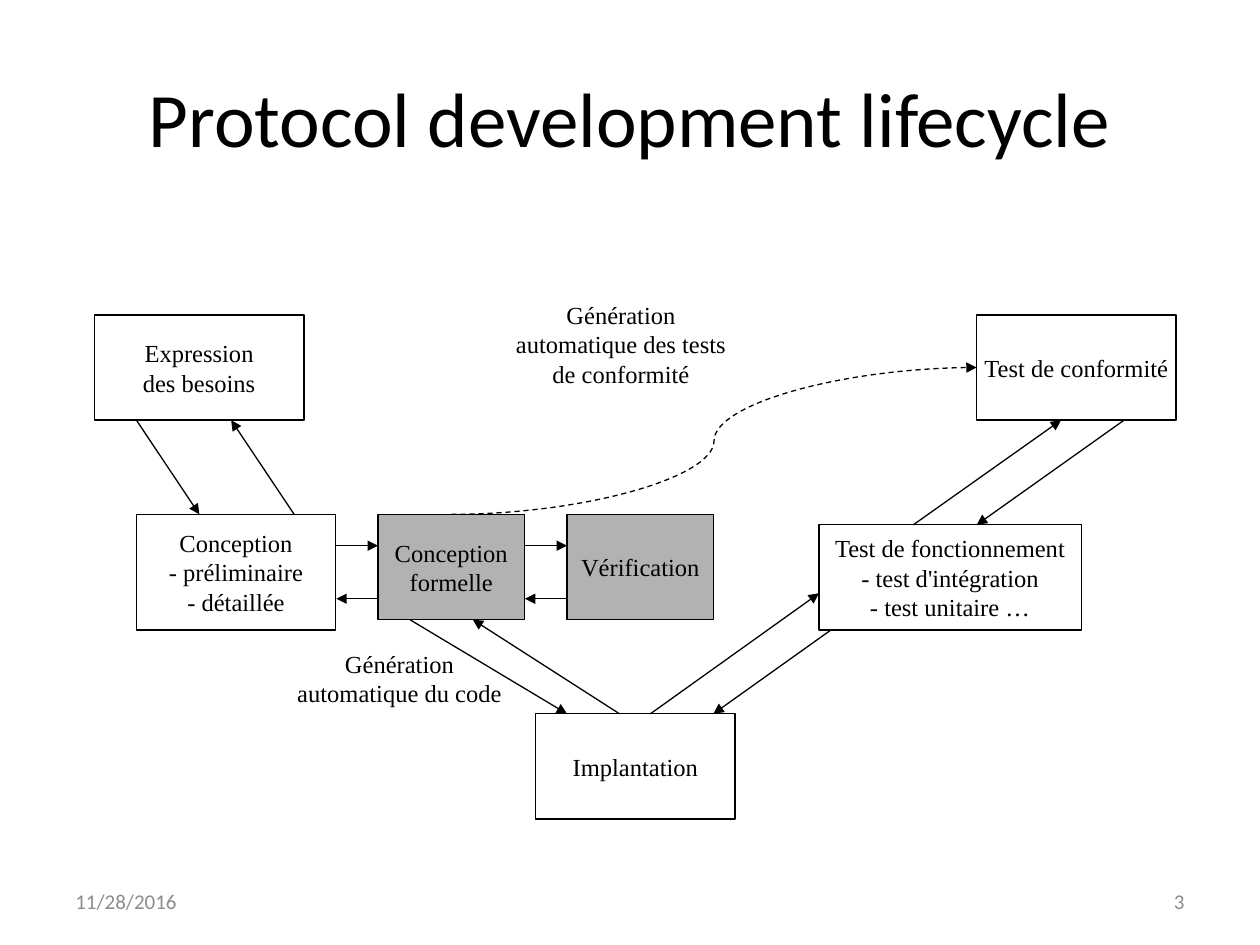
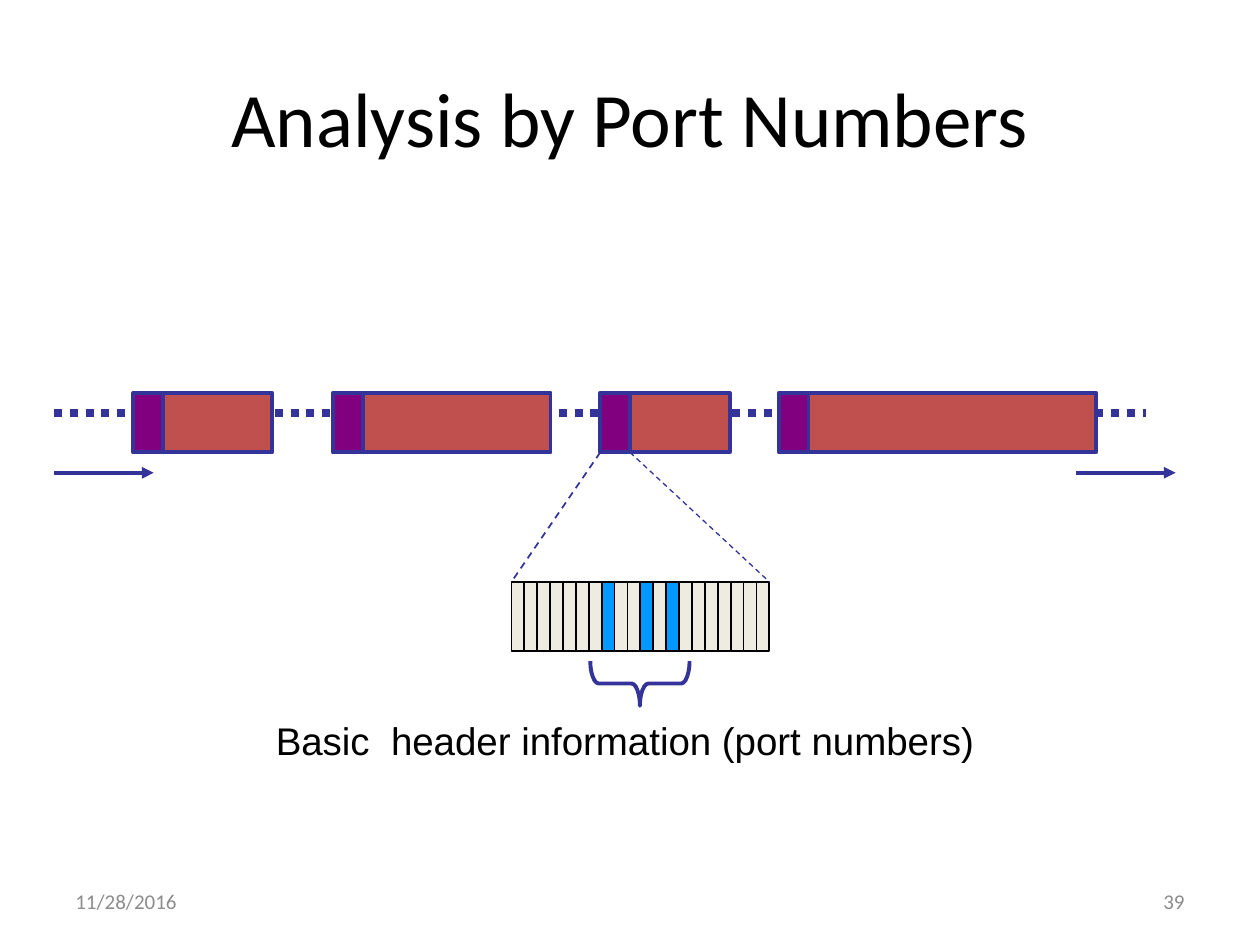
"""Build two slides: the protocol development lifecycle and port number analysis."""
from pptx import Presentation
from pptx.dml.color import RGBColor
from pptx.enum import dml, shapes, text
from pptx.oxml.ns import qn
from pptx.util import Cm, Pt

BLACK = RGBColor(0x00, 0x00, 0x00)
WHITE = RGBColor(0xFF, 0xFF, 0xFF)
GRAY = RGBColor(0x8C, 0x8C, 0x8C)
SILVER = RGBColor(0xB2, 0xB2, 0xB2)
NAVY = RGBColor(0x33, 0x33, 0x99)
PURPLE = RGBColor(0x80, 0x00, 0x80)
BRICK = RGBColor(0xC0, 0x50, 0x4D)
CREAM = RGBColor(0xEE, 0xEC, 0xE1)
AZURE = RGBColor(0x00, 0x99, 0xFF)

LEFT, CENTER, RIGHT = text.PP_ALIGN.LEFT, text.PP_ALIGN.CENTER, text.PP_ALIGN.RIGHT
TOP, MIDDLE = text.MSO_ANCHOR.TOP, text.MSO_ANCHOR.MIDDLE
DASH, DOT = dml.MSO_LINE.DASH, dml.MSO_LINE.ROUND_DOT
STRAIGHT, CURVE = shapes.MSO_CONNECTOR.STRAIGHT, shapes.MSO_CONNECTOR.CURVE
RECT, BRACE = shapes.MSO_SHAPE.RECTANGLE, shapes.MSO_SHAPE.RIGHT_BRACE

TITLE_FONT = {"name": "Calibri", "size": Pt(44)}
FOOTER_FONT = {"name": "Calibri", "size": Pt(12)}
DIAGRAM_FONT = {"name": "Times New Roman", "size": Pt(14)}
CAPTION_FONT = {"name": "Arial", "size": Pt(22)}

DATE = "11/28/2016"
TITLE_AT = (1.27, 0.76, 22.86, 3.18)
DATE_AT = (1.27, 17.65, 5.93, 1.02)
NUMBER_AT = (18.2, 17.65, 5.93, 1.02)

STAGES = [
    (["Vérification"], (11.43, 10.37, 2.96, 2.12), SILVER),
    (["Conception", "formelle"], (7.62, 10.37, 2.96, 2.12), SILVER),
    (["Expression", "des besoins"], (1.9, 6.35, 4.23, 2.12), WHITE),
    (["Implantation"], (10.8, 14.39, 4.02, 2.12), WHITE),
    (["Test de conformité"], (19.69, 6.35, 4.02, 2.12), WHITE),
    (["Conception", "- préliminaire", "- détaillée"], (2.75, 10.37, 4.02, 2.33), WHITE),
    (["Test de fonctionnement", "- test d'intégration", "- test unitaire …"],
     (16.51, 10.58, 5.29, 2.12), WHITE),
]
STAGE_ARROWS = [
    (6.78, 11, 7.62, 11), (7.62, 12.07, 6.78, 12.07),
    (10.58, 11, 11.43, 11), (11.43, 12.07, 10.58, 12.07),
    (2.75, 8.47, 4.02, 10.37), (5.93, 10.37, 4.66, 8.47),
    (8.26, 12.49, 11.43, 14.39), (12.49, 14.39, 9.53, 12.49),
    (13.11, 14.39, 16.51, 11.96), (16.75, 12.7, 14.38, 14.39),
    (18.41, 10.58, 21.39, 8.47), (22.66, 8.47, 19.69, 10.58),
]
TEST_GENERATION = (9.1, 10.37, 19.69, 7.41)
STAGE_LABELS = [
    (["Génération", "automatique du code"], (5.72, 12.95, 4.67, 1.45)),
    (["Génération", "automatique des tests", "de conformité"], (10.13, 5.92, 4.78, 2.03)),
]

PACKETS = [(2.69, 2.2), (6.71, 3.79), (12.1, 2.01), (15.7, 5.8)]
PACKET_TOP, PACKET_HEIGHT, HEADER_WIDTH = 7.92, 1.2, 0.6
ZOOMED_PACKET = 2
STREAM = (1.09, 8.33, 23.11, 8.33)
FLOW_STARTS, FLOW_Y, FLOW_LENGTH = (1.09, 21.69), 9.53, 2.01
FIELDS, PORT_FIELDS = 20, (7, 10, 12)
FIELD_LEFT, FIELD_TOP, FIELD_WIDTH, FIELD_HEIGHT = 10.31, 11.73, 0.26, 1.4
BRACE_AT = (12.45, 12.78, 0.9, 2)
CAPTION = "Basic  header information (port numbers)"
CAPTION_AT = (5.31, 14.33, 15.19, 1.19)


def apply(obj, values):
    """Set each attribute named in a dict of format values."""
    for name, value in values.items():
        setattr(obj, name, value)


def write(sp, lines, font, color=BLACK, align=CENTER, anchor=MIDDLE, wrap=True):
    """Fill a shape with formatted paragraphs."""
    tf = sp.text_frame
    tf.text = "\n".join(lines)
    apply(tf, {"word_wrap": wrap, "vertical_anchor": anchor})
    for p in tf.paragraphs:
        p.alignment = align
        apply(p.runs[0].font, font)
        p.runs[0].font.color.rgb = color


def add_text(s, at, lines, font, **options):
    """Add a text box and return it."""
    sp = s.shapes.add_textbox(*map(Cm, at))
    write(sp, lines, font, **options)
    return sp


def add_block(parent, at, fill, line, width, kind=RECT):
    """Add an outlined preset shape, filled when a colour is given."""
    sp = parent.shapes.add_shape(kind, *map(Cm, at))
    sp.shadow.inherit = False
    if fill is None:
        sp.fill.background()
    else:
        sp.fill.solid()
        sp.fill.fore_color.rgb = fill
    sp.line.color.rgb = line
    sp.line.width = Pt(width)
    return sp


def add_line(parent, ends, color, width, dash=None, arrow=False, kind=STRAIGHT):
    """Add a connector, dashed or with an arrowhead on request."""
    cx = parent.shapes.add_connector(kind, *map(Cm, ends))
    cx.line.color.rgb = color
    apply(cx.line, {"width": Pt(width), "dash_style": dash})
    props = cx.element.spPr
    if arrow:
        ln = props.find(qn("a:ln"))
        ln.append(ln.makeelement(qn("a:tailEnd"), {"type": "triangle"}))
    props.append(props.makeelement(qn("a:effectLst"), {}))


def add_slide(prs, title, number):
    """Add a slide with its title, date and number."""
    s = prs.slides.add_slide(prs.slide_layouts[5])
    sp = s.shapes.title
    apply(sp, dict(zip(("left", "top", "width", "height"), map(Cm, TITLE_AT))))
    write(sp, [title], TITLE_FONT)
    add_text(s, DATE_AT, [DATE], FOOTER_FONT, color=GRAY, align=LEFT)
    add_text(s, NUMBER_AT, [str(number)], FOOTER_FONT, color=GRAY, align=RIGHT)
    return s


def build_lifecycle(prs):
    """Draw the stages and the arrows between them."""
    s = add_slide(prs, "Protocol development lifecycle", 3)
    for lines, at, fill in STAGES:
        write(add_block(s, at, fill, BLACK, 0.75), lines, DIAGRAM_FONT, wrap=False)
    for ends in STAGE_ARROWS:
        add_line(s, ends, BLACK, 0.75, arrow=True)
    add_line(s, TEST_GENERATION, BLACK, 0.75, DASH, True, CURVE)
    for lines, at in STAGE_LABELS:
        add_text(s, at, lines, DIAGRAM_FONT, anchor=TOP, wrap=False)


def build_ports(prs):
    """Draw the packet stream and one enlarged header."""
    s = add_slide(prs, "Analysis by Port Numbers", 39)
    add_line(s, STREAM, NAVY, 4.5, DOT)
    for left, width in PACKETS:
        body = (left + HEADER_WIDTH, PACKET_TOP, width, PACKET_HEIGHT)
        add_block(s, body, BRICK, NAVY, 2.25)
        add_block(s, (left, PACKET_TOP, HEADER_WIDTH, PACKET_HEIGHT), PURPLE, NAVY, 2.25)

    header = s.shapes.add_group_shape()
    for i in range(FIELDS):
        at = (FIELD_LEFT + i * FIELD_WIDTH, FIELD_TOP, FIELD_WIDTH, FIELD_HEIGHT)
        add_block(header, at, AZURE if i in PORT_FIELDS else CREAM, BLACK, 1)
    left, bottom = PACKETS[ZOOMED_PACKET][0], PACKET_TOP + PACKET_HEIGHT
    right = FIELD_LEFT + FIELDS * FIELD_WIDTH
    add_line(header, (left, bottom, FIELD_LEFT, FIELD_TOP), NAVY, 1, DASH)
    add_line(header, (left + HEADER_WIDTH, bottom, right, FIELD_TOP), NAVY, 0.75, DASH)

    brace = add_block(s, BRACE_AT, None, NAVY, 2.25, BRACE)
    brace.rotation = 90
    brace.adjustments[0] = 0.19
    caption = add_text(s, CAPTION_AT, [CAPTION], CAPTION_FONT, align=LEFT, anchor=TOP)
    caption.text_frame.paragraphs[0].space_before = Pt(4.4)
    for x in FLOW_STARTS:
        add_line(s, (x, FLOW_Y, x + FLOW_LENGTH, FLOW_Y), NAVY, 2.25, arrow=True)


def main():
    """Build and save the presentation."""
    prs = Presentation()
    apply(prs, {"slide_width": Cm(25.4), "slide_height": Cm(19.05)})
    build_lifecycle(prs)
    build_ports(prs)
    prs.save("out.pptx")


if __name__ == "__main__":
    main()
